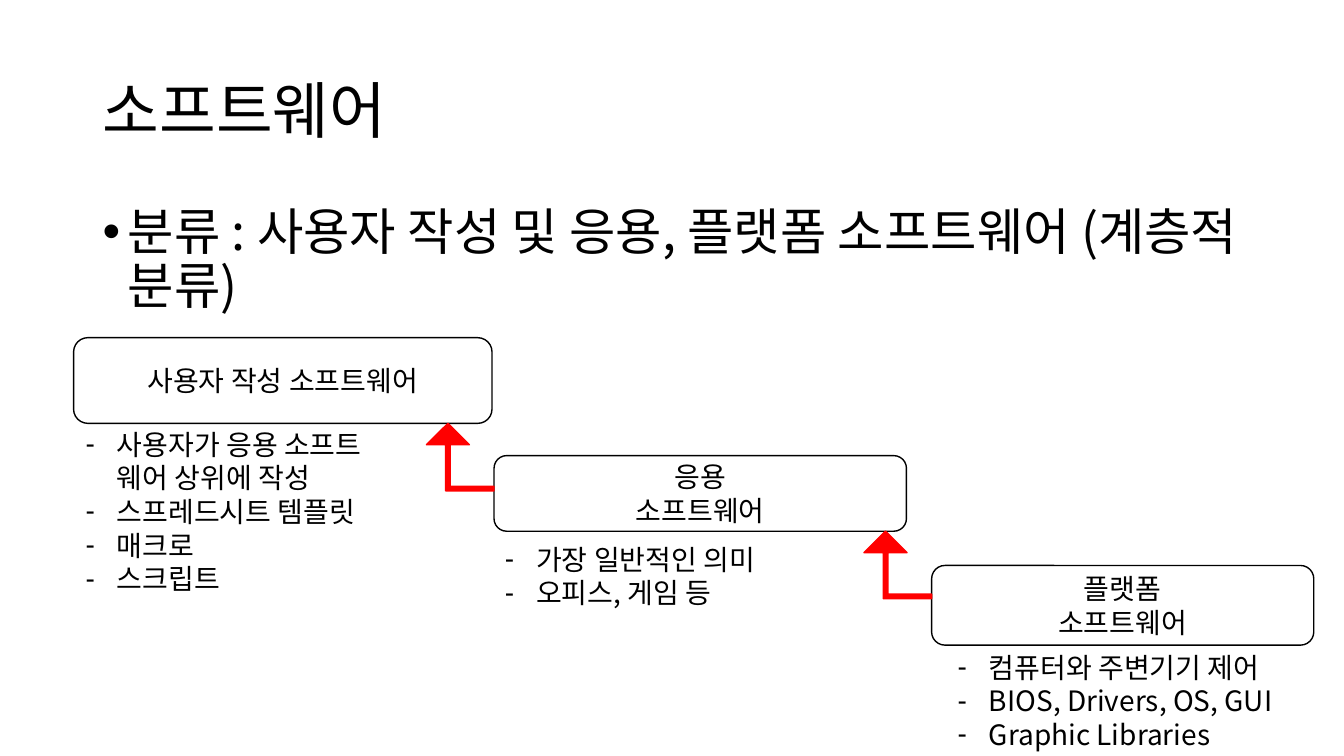
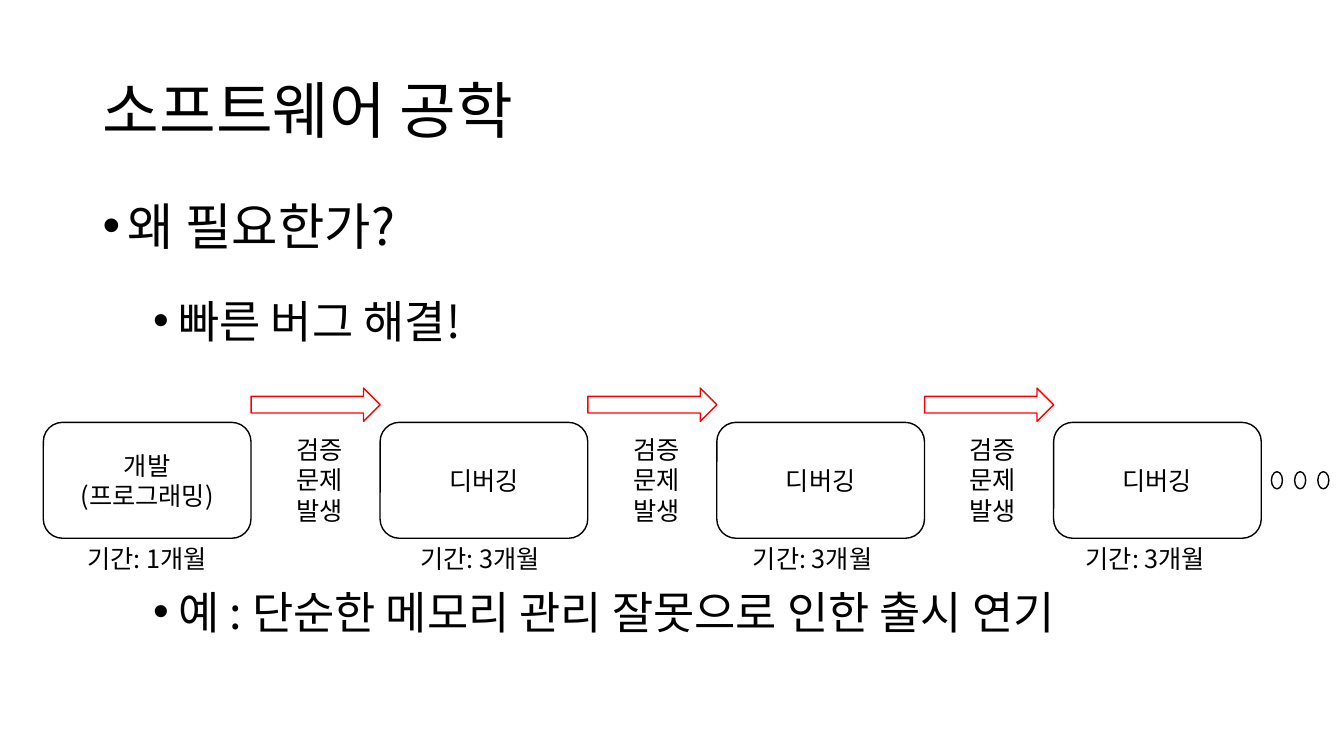
"""Two slides on software layers and on why software engineering is needed."""
from pptx import Presentation
from pptx.util import Inches, Pt
from pptx.dml.color import RGBColor
from pptx.enum.shapes import MSO_SHAPE as Geo
from pptx.enum.text import MSO_ANCHOR as Anchor, MSO_AUTO_SIZE as Fit, PP_ALIGN as Align
from pptx.oxml.ns import qn
from lxml.etree import SubElement as sub

FONT = "Noto Sans CJK KR"
BLACK, WHITE, RED = "000000", "FFFFFF", "FF0000"
WIDE, HIGH = 13.33, 7.5
TITLE = (0.92, 0.4, 11.5, 1.45)
BODY = (0.92, 2, 11.5, 4.76)

LAYERS = {
    "title": "소프트웨어",
    "body": [("분류 : 사용자 작성 및 응용, 플랫폼 소프트웨어 (계층적 분류)", 36, 0.25, 10)],
    "leading": 0.9,
}
NEED = {
    "title": "소프트웨어 공학",
    "body": [
        ("왜 필요한가?", 36, 0.25, 10),
        ("빠른 버그 해결!", 32, 0.75, 35),
        ("예 : 단순한 메모리 관리 잘못으로 인한 출시 연기", 32, 0.75, 177),
    ],
    "leading": 0.8,
}
STEPS = [
    ((0.73, 3.35, 4.15, 0.85), ["사용자 작성 소프트웨어"], (0.75, 4.19, 3.16),
     ["사용자가 응용 소프트 웨어 상위에 작성", "스프레드시트 템플릿", "매크로", "스크립트"]),
    ((4.9, 4.52, 4.09, 0.75), ["응용", "소프트웨어"], (4.91, 5.33, 3.16),
     ["가장 일반적인 의미", "오피스, 게임 등"]),
    ((9.24, 5.61, 3.79, 0.79), ["플랫폼", "소프트웨어"], (9.4, 6.4, 3.5),
     ["컴퓨터와 주변기기 제어", "BIOS, Drivers, OS, GUI", "Graphic Libraries"]),
]
PHASES = [
    (["개발", "(프로그래밍)"], "기간: 1개월"),
    (["디버깅"], "기간: 3개월"),
    (["디버깅"], "기간: 3개월"),
    (["디버깅"], "기간: 3개월"),
]
ISSUE = "검증 문제발생"
BEND = 0.67
LEFT, TOP, BOX, TALL, PITCH, SHIFT = 0.43, 4.19, 2.06, 1.15, 3.34, 3.3


def paint(code):
    return RGBColor.from_string(code)


def put(para, text, size):
    run = para.add_run()
    run.text = text
    run.font.name, run.font.size = FONT, Pt(size)
    run.font.color.rgb = paint(BLACK)
    sub(run.font._element, qn("a:ea"), typeface=FONT)


def mark(para, sign, indent, hang):
    props = para._p.get_or_add_pPr()
    props.set("marL", str(Inches(indent)))
    props.set("indent", str(-Inches(hang)))
    sub(props, qn("a:buFont"), typeface="Arial")
    sub(props, qn("a:buChar"), char=sign)


def fill(frame, lines, size, align=Align.LEFT):
    frame.word_wrap = True
    for i, line in enumerate(lines):
        para = frame.add_paragraph() if i else frame.paragraphs[0]
        para.alignment = align
        put(para, line, size)
    return frame.paragraphs


def area(slide, rect):
    return slide.shapes.add_textbox(*map(Inches, rect)).text_frame


def label(slide, rect, lines, size, align=Align.LEFT):
    frame = area(slide, rect)
    paras = fill(frame, lines, size, align)
    frame.auto_size = Fit.SHAPE_TO_FIT_TEXT
    return paras


def shape(slide, kind, rect, edge, inner=None):
    item = slide.shapes.add_shape(kind, *map(Inches, rect))
    item.shadow.inherit = False
    if inner:
        item.fill.solid()
        item.fill.fore_color.rgb = paint(inner)
    else:
        item.fill.background()
    item.line.color.rgb = paint(edge)
    item.line.width = Pt(1)
    return item


def box(slide, rect, lines, size):
    frame = shape(slide, Geo.ROUNDED_RECTANGLE, rect, BLACK, WHITE).text_frame
    frame.vertical_anchor = Anchor.MIDDLE
    fill(frame, lines, size, Align.CENTER)


def page(deck, data):
    slide = deck.slides.add_slide(deck.slide_layouts[6])
    head = area(slide, TITLE)
    head.vertical_anchor = Anchor.MIDDLE
    fill(head, [data["title"]], 44)[0].line_spacing = 0.9
    body = area(slide, BODY)
    body.word_wrap = True
    for i, (text, size, indent, gap) in enumerate(data["body"]):
        para = body.add_paragraph() if i else body.paragraphs[0]
        para.line_spacing, para.space_before = data["leading"], Pt(gap)
        mark(para, "•", indent, 0.25)
        put(para, text, size)
    return slide


def stairs(slide):
    for rect, name, spot, notes in STEPS:
        box(slide, rect, name, 20)
        for para in label(slide, (*spot, 0.1 + len(notes) / 3), notes, 20):
            mark(para, "-", 0.31, 0.31)
    for (rect, *_), (after, *_) in zip(STEPS, STEPS[1:]):
        spot = (after[0] - BEND, rect[1] + rect[3], BEND, BEND)
        bend = shape(slide, Geo.BENT_UP_ARROW, spot, RED, RED)
        for i, share in enumerate((0.068, 0.318, 0.318)):
            bend.adjustments[i] = share
        bend.element.spPr.get_or_add_xfrm().set("flipH", "1")


def chain(slide):
    for i, (name, time) in enumerate(PHASES):
        x = LEFT + i * PITCH
        box(slide, (x, TOP, BOX, TALL), name, 18)
        label(slide, (LEFT + i * SHIFT, TOP + TALL, BOX, 0.4), [time], 18, Align.CENTER)
        if i < len(PHASES) - 1:
            end = x + BOX
            shape(slide, Geo.RIGHT_ARROW, (end, 3.85, PITCH - BOX, 0.33), RED)
            label(slide, (end + 0.35, 4.26, 0.81, 1.01), [ISSUE], 18)
    for i in range(3):
        shape(slide, Geo.OVAL, (12.61 + i * 0.23, 4.68, 0.11, 0.17), BLACK)


deck = Presentation()
deck.slide_width, deck.slide_height = Inches(WIDE), Inches(HIGH)
stairs(page(deck, LAYERS))
chain(page(deck, NEED))
deck.save("out.pptx")
